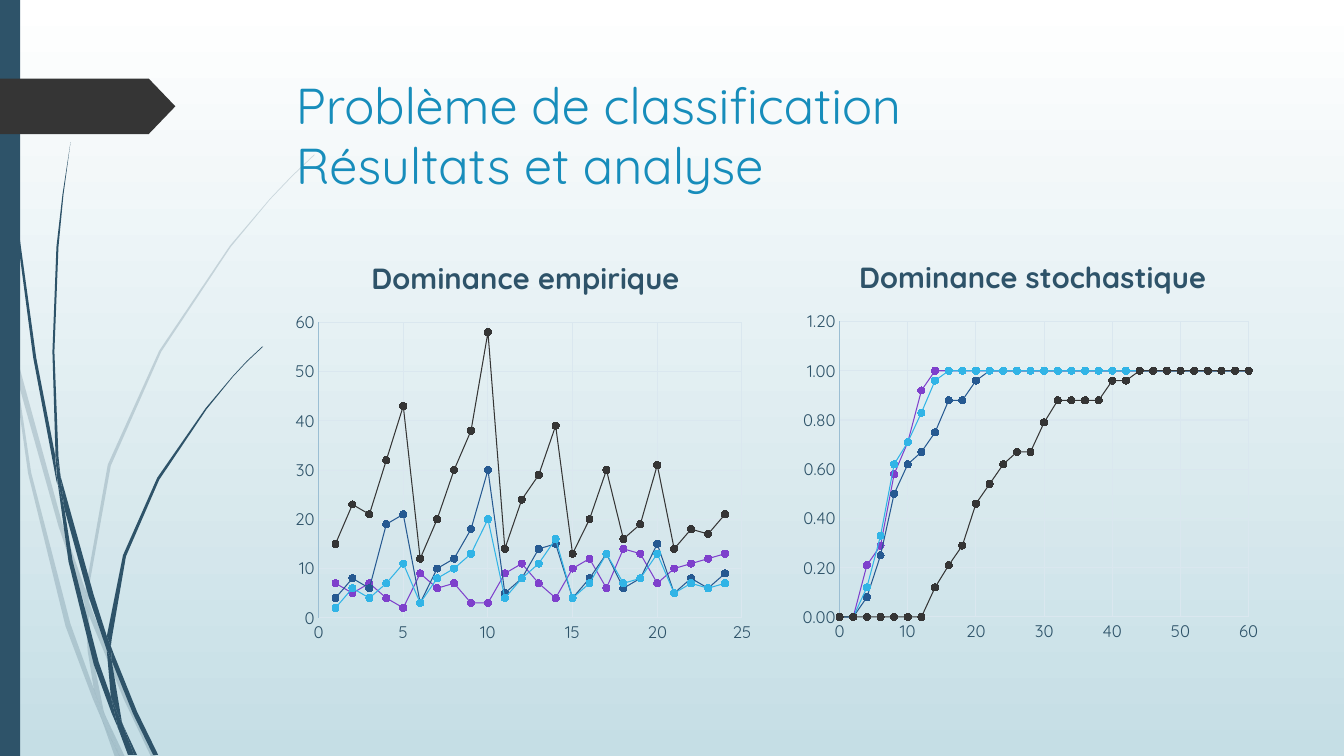
from lxml import etree
from pptx import Presentation
from pptx.chart.data import XyChartData
from pptx.dml.color import RGBColor
from pptx.enum.chart import XL_CHART_TYPE, XL_MARKER_STYLE, XL_TICK_MARK
from pptx.enum.shapes import MSO_SHAPE
from pptx.oxml.ns import qn
from pptx.util import Cm, Pt

SCATTER = XL_CHART_TYPE.XY_SCATTER_LINES
CIRCLE = XL_MARKER_STYLE.CIRCLE
NO_TICK = XL_TICK_MARK.NONE
RECT, ARROW = MSO_SHAPE.RECTANGLE, MSO_SHAPE.PENTAGON

NAVY, DARK, BLUE = "2E5369", "353535", "178DBB"
GRID, AXIS = "DAE7EF", "9BBED3"
# Line and marker colour of each series
INKS = [(DARK, "313131"), ("31B4E6", "22ADE2"),
        ("265991", "235387"), ("7E40CC", "7536C4")]


def rgb(code):
    return RGBColor.from_string(code)


class Deck:
    font = "Quicksand"

    def __init__(self):
        self.prs = Presentation()
        self.prs.slide_width, self.prs.slide_height = Cm(33.87), Cm(19.05)
        self.slide = self.prs.slides.add_slide(self.prs.slide_layouts[6])
        self.shapes = self.slide.shapes

    def back(self, *codes):
        fill = self.slide.background.fill
        fill.gradient()
        fill.gradient_angle = 270
        for stop, code in zip(fill.gradient_stops, codes):
            stop.color.rgb = rgb(code)

    def paint(self, shape, code, alpha=None):
        shape.shadow.inherit = False
        shape.fill.solid()
        shape.fill.fore_color.rgb = rgb(code)
        shape.line.fill.background()
        if alpha:
            tone = shape.fill._xPr.find(".//" + qn("a:srgbClr"))
            etree.SubElement(tone, qn("a:alpha")).set("val", str(alpha * 1000))

    def block(self, kind, box, code):
        shape = self.shapes.add_shape(kind, *map(Cm, box))
        self.paint(shape, code)
        return shape

    def blade(self, points, code, alpha=None):
        # Points are in hundredths of an inch
        first, *rest = points
        form = self.shapes.build_freeform(*first, scale=Cm(2.54) / 100)
        form.add_line_segments(rest, close=True)
        self.paint(form.convert_to_shape(), code, alpha)

    def style(self, font, size, code, bold=False):
        font.name, font.size, font.bold = self.font, Pt(size), bold
        font.color.rgb = rgb(code)

    def text(self, box, lines, size, code):
        frame = self.shapes.add_textbox(*map(Cm, box)).text_frame
        frame.word_wrap = True
        para = frame.paragraphs[0]
        for i, line in enumerate(lines):
            if i:
                para.add_line_break()
            run = para.add_run()
            run.text = line
            self.style(run.font, size, code)

    def place(self, host, **spots):
        """Give a chart title or plot area a fixed place."""
        old = host.find(qn("c:layout"))
        if old is None:
            old = etree.Element(qn("c:layout"))
            text = host.find(qn("c:tx"))
            if text is None:
                host.insert(0, old)
            else:
                text.addnext(old)
        spot = etree.SubElement(old, qn("c:manualLayout"))
        if "w" in spots:
            etree.SubElement(spot, qn("c:layoutTarget")).set("val", "inner")
        for key in "xy":
            etree.SubElement(spot, qn(f"c:{key}Mode")).set("val", "edge")
        for key, val in spots.items():
            etree.SubElement(spot, qn("c:" + key)).set("val", str(val))

    def axis(self, axis, top, unit, code, form):
        axis.minimum_scale, axis.maximum_scale = 0, top
        axis.major_unit = unit
        axis.major_tick_mark = axis.minor_tick_mark = NO_TICK
        axis.has_major_gridlines = True
        for line, ink in ((axis.format.line, code),
                          (axis.major_gridlines.format.line, GRID)):
            line.color.rgb = rgb(ink)
            line.width = Pt(0.75)
        labels = axis.tick_labels
        labels.number_format, labels.number_format_is_linked = form, False
        self.style(labels.font, 12, NAVY)

    def chart(self, box, title, xs, sets, across, up, left, plot):
        data = XyChartData()
        for n, ys in enumerate(sets, 1):
            series = data.add_series(f"Series {n}")
            for x, y in zip(xs, ys):
                series.add_data_point(x, y)
        chart = self.shapes.add_chart(SCATTER, *map(Cm, box), data).chart
        chart.has_legend = False
        self.style(chart.font, 10, "000000")
        chart.plots[0].vary_by_categories = False
        run = chart.chart_title.text_frame.paragraphs[0].add_run()
        run.text = title
        self.style(run.font, 20.8, NAVY, True)
        chart.chart_title.include_in_layout = False
        self.axis(chart.category_axis, *across, GRID, "0")
        self.axis(chart.value_axis, *up)
        for series, (ink, dot) in zip(chart.plots[0].series, INKS):
            series.smooth = False
            series.format.line.color.rgb = rgb(ink)
            series.format.line.width = Pt(0.75)
            mark = series.marker
            mark.style, mark.size = CIRCLE, 5
            mark.format.fill.solid()
            mark.format.fill.fore_color.rgb = rgb(dot)
            mark.format.line.color.rgb = rgb(dot)
        root = chart._chartSpace.chart
        self.place(root.find(qn("c:title")), x=left, y=0.04)
        self.place(root.plotArea, x=plot[0], y=0.21, w=plot[1], h=0.71)


deck = Deck()
deck.back("FFFFFF", "C5DEE5")

# Blades of grass, pale behind and dark in front
PALE = [
    [(11, 350), (9, 322), (0, 282), (0, 299), (10, 344)],
    [(58, 522), (84, 599), (85, 586), (62, 520), (14, 345), (17, 376)],
    [(92, 607), (88, 596), (88, 610), (123, 694), (150, 751), (155, 751),
     (127, 692)],
    [(119, 751), (124, 751), (105, 711)],
    [(93, 683), (70, 619), (31, 469), (17, 376), (11, 350), (28, 470),
     (65, 621), (92, 693), (101, 714), (99, 707)],
    [(84, 599), (87, 646), (93, 683), (96, 692), (105, 711), (103, 706),
     (91, 646), (88, 610), (88, 608)],
    [(88, 584), (110, 462), (160, 349), (229, 245), (268, 198), (290, 175),
     (312, 154), (312, 153), (289, 175), (268, 197), (228, 244), (158, 348),
     (107, 461), (85, 584), (85, 586), (88, 596)],
    [(101, 714), (114, 751), (119, 751)],
    [(88, 608), (88, 596), (85, 586), (84, 599)],
    [(96, 692), (93, 683), (99, 707), (101, 714), (119, 751), (105, 711)],
]
DEEP = [
    [(7, 110), (17, 233), (33, 355), (56, 477), (57, 481), (55, 457),
     (55, 453), (36, 355), (19, 232), (8, 109), (5, 48), (4, 0), (3, 0),
     (4, 48)],
    [(88, 592), (106, 645), (106, 631), (93, 590), (60, 472), (64, 505)],
    [(113, 649), (110, 641), (111, 656), (132, 708), (152, 749), (157, 749),
     (136, 706)],
    [(110, 691), (98, 657), (72, 556), (64, 505), (57, 477), (68, 557),
     (93, 659), (111, 708), (117, 722), (116, 717)],
    [(60, 472), (58, 453), (54, 349), (58, 245), (63, 193), (70, 141),
     (62, 193), (56, 245), (52, 349), (55, 449)],
    [(133, 749), (136, 749), (122, 719)],
    [(57, 477), (64, 505), (60, 472), (55, 449), (55, 453)],
    [(111, 633), (125, 552), (158, 476), (205, 406), (231, 374), (245, 359),
     (261, 344), (260, 344), (245, 358), (231, 373), (204, 405), (156, 474),
     (122, 551), (106, 631), (110, 641)],
    [(117, 722), (127, 749), (131, 749)],
    [(106, 645), (110, 691), (116, 706), (122, 719), (121, 716), (111, 656),
     (109, 651)],
    [(106, 645), (109, 651), (111, 656), (110, 641), (106, 631)],
    [(116, 706), (110, 691), (116, 717), (117, 722), (130, 749), (133, 749),
     (122, 719)],
]
for points in PALE:
    deck.blade(points, NAVY, 20)
for points in DEEP:
    deck.blade(points, NAVY)

# Side bar, arrow and heading
deck.block(RECT, (0, 0, 0.51, 19.05), NAVY)
deck.block(ARROW, (0, 1.98, 4.42, 1.4), DARK).adjustments[0] = 0.48
deck.text((7.21, 1.74, 24.77, 3.56),
          ["Problème de classification", "Résultats et analyse"], 36, BLUE)

# Charts
runs = [
    [15, 23, 21, 32, 43, 12, 20, 30, 38, 58, 14, 24,
     29, 39, 13, 20, 30, 16, 19, 31, 14, 18, 17, 21],
    [2, 6, 4, 7, 11, 3, 8, 10, 13, 20, 4, 8,
     11, 16, 4, 7, 13, 7, 8, 13, 5, 7, 6, 7],
    [4, 8, 6, 19, 21, 3, 10, 12, 18, 30, 5, 8,
     14, 15, 4, 8, 13, 6, 8, 15, 5, 8, 6, 9],
    [7, 5, 7, 4, 2, 9, 6, 7, 3, 3, 9, 11,
     7, 4, 10, 12, 6, 14, 13, 7, 10, 11, 12, 13],
]
deck.chart((7.19, 5.92, 11.99, 10.49), "Dominance empirique", range(1, 25),
           runs, (25, 5), (60, 10, AXIS, "0"), 0.17, (0.07, 0.89))

# Each rise stays at 1 once it gets there
rises = [
    [0] * 7 + [0.12, 0.21, 0.29, 0.46, 0.54, 0.62, 0.67, 0.67, 0.79]
    + [0.88] * 4 + [0.96] * 2,
    [0, 0, 0.12, 0.33, 0.62, 0.71, 0.83, 0.96],
    [0, 0, 0.08, 0.25, 0.5, 0.62, 0.67, 0.75, 0.88, 0.88, 0.96],
    [0, 0, 0.21, 0.29, 0.58, 0.71, 0.92],
]
xs = range(0, 61, 2)
full = [ys + [1] * (len(xs) - len(ys)) for ys in rises]
deck.chart((19.96, 5.9, 11.99, 10.49), "Dominance stochastique", xs,
           full, (60, 10), (1.2, 0.2, AXIS, "0.00"), 0.13, (0.1, 0.86))

deck.prs.save("out.pptx")
